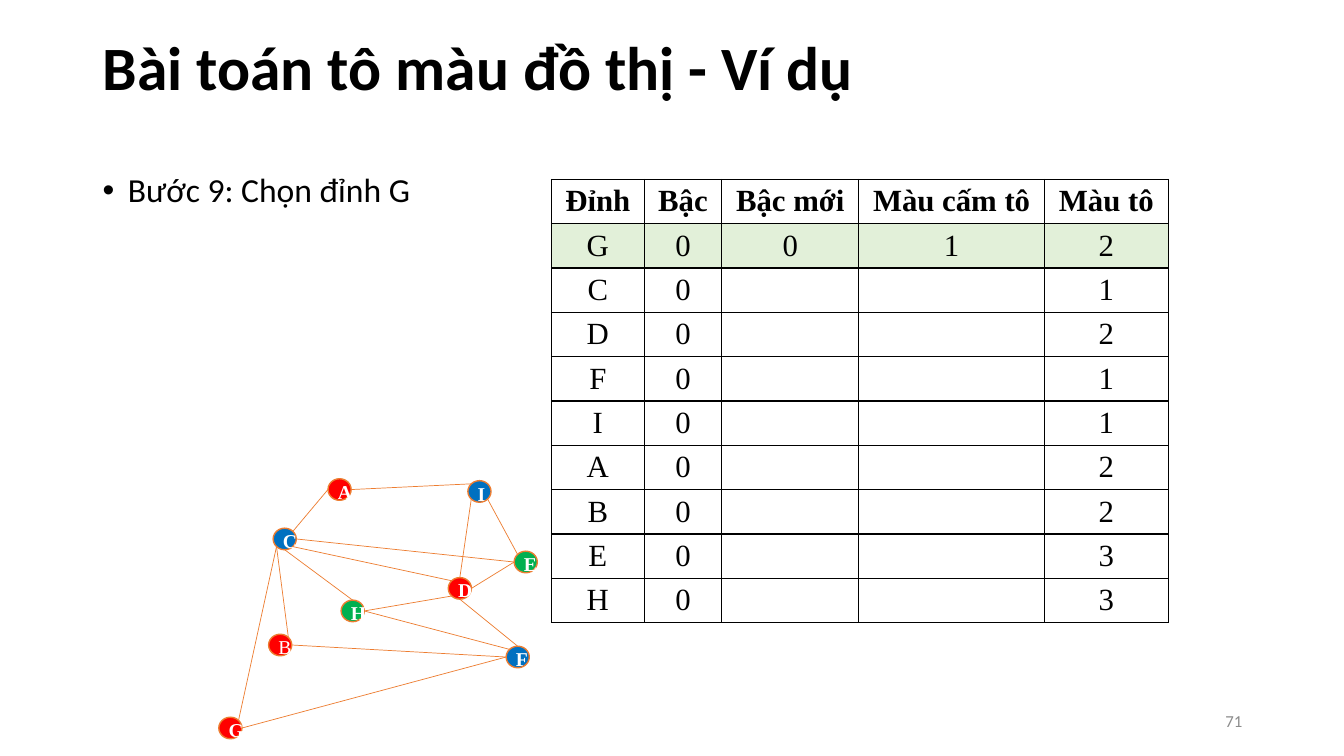
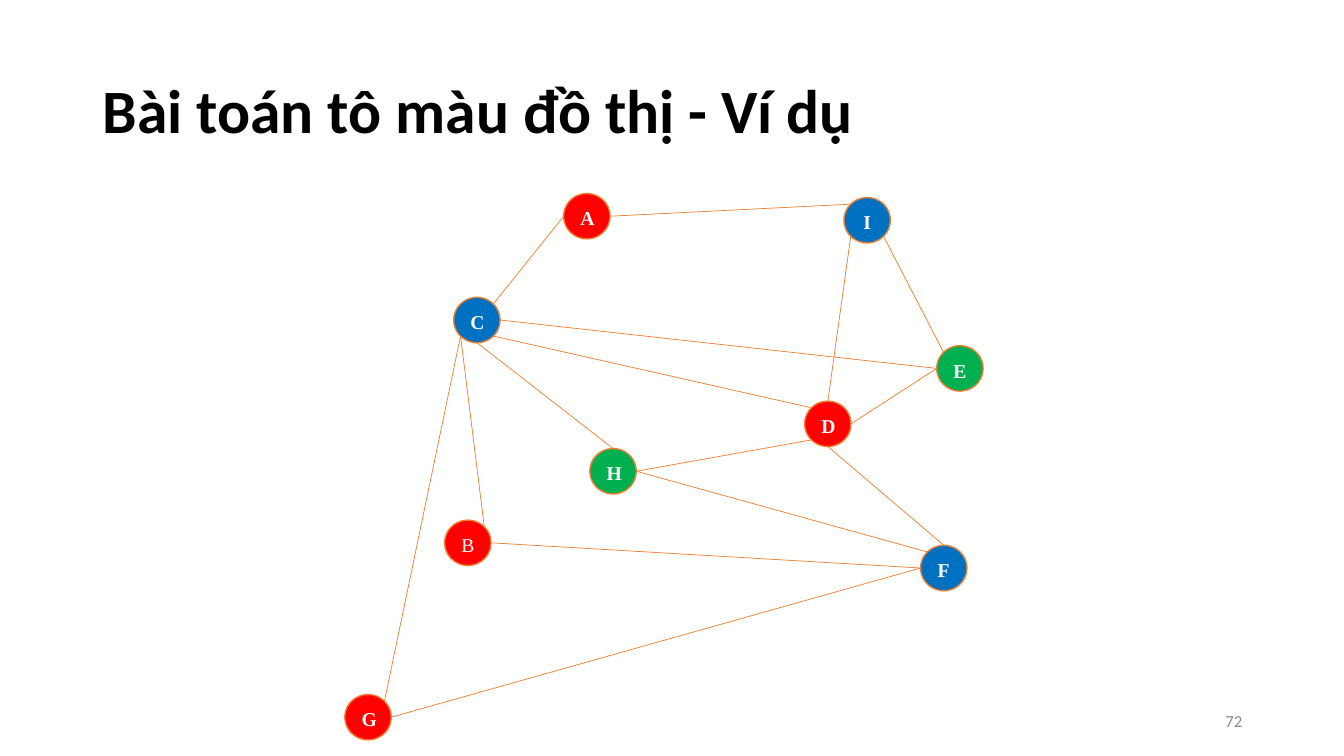
from dataclasses import dataclass
from math import cos, radians, sin

from lxml.etree import SubElement
from pptx import Presentation
from pptx.dml.color import RGBColor
from pptx.enum.shapes import MSO_CONNECTOR as Connector, MSO_SHAPE as Shape
from pptx.enum.text import MSO_ANCHOR as Anchor, PP_ALIGN as Align
from pptx.oxml.ns import qn
from pptx.util import Emu, Inches, Pt

SLIDE_WIDTH, SLIDE_HEIGHT = Inches(13.33), Inches(7.5)


@dataclass(frozen=True)
class Theme:
    ink: str = "000000"
    paper: str = "FFFFFF"
    muted: str = "8C8C8C"
    highlight: str = "E2F0D9"
    outline: str = "ED7D31"
    red: str = "FF0000"
    blue: str = "0070C0"
    green: str = "00B050"
    sans: str = "Calibri"
    serif: str = "Times New Roman"
    title_size: int = 44
    body_size: int = 24
    table_size: int = 22
    node_size: int = 14
    number_size: int = 12
    border: float = 1
    edge: float = 0.5


THEME = Theme()


@dataclass(frozen=True)
class Box:
    """A region given in percent of the slide's width and height."""
    x: float
    y: float
    w: float
    h: float

    def place(self):
        return (Emu(int(SLIDE_WIDTH * self.x / 100)), Emu(int(SLIDE_HEIGHT * self.y / 100)),
                Emu(int(SLIDE_WIDTH * self.w / 100)), Emu(int(SLIDE_HEIGHT * self.h / 100)))


NUMBER_BOX = Box(70.67, 92.67, 22.5, 5.33)
BODY_BOX = Box(6.9, 22.27, 28.73, 67.87)
TABLE_BOX = Box(41.03, 23.73, 45.9, 58.67)
SMALL_GRAPH_BOX = Box(16.28, 63.33, 23.7, 34.4)
LARGE_GRAPH_BOX = Box(25.66, 25.6, 47.49, 72.27)

TITLE = "Bài toán tô màu đồ thị - Ví dụ"

TABLE_COLUMNS = (0.92, 0.77, 1.36, 1.84, 1.23)
TABLE_ROWS = [
    ("Đỉnh", "Bậc", "Bậc mới", "Màu cấm tô", "Màu tô"),
    ("G", "0", "0", "1", "2"),
    *((vertex, "0", "", "", colour) for vertex, colour in zip("CDFIABEH", "12112233")),
]

# The graph is laid out on a grid of this many columns and rows.
GRAPH_GRID = (6.33, 5.42)
NODE_SPAN = (0.46, 0.45)
NODES = {
    "C": (1.08, 1.03, THEME.blue),
    "B": (0.99, 3.24, THEME.red),
    "A": (2.17, 0, THEME.red),
    "D": (4.56, 2.06, THEME.red),
    "E": (5.87, 1.51, THEME.green),
    "F": (5.71, 3.49, THEME.blue),
    "G": (0, 4.97, THEME.red),
    "H": (2.43, 2.53, THEME.green),
    "I": (4.95, 0.04, THEME.blue),
}
# An ellipse numbers its connection sites anticlockwise from the top.
SITES = ("n", "nw", "w", "sw", "s", "se", "e", "ne")
EDGES = [edge.split() for edge in (
    "H e F nw", "B e F w", "D s F n", "F w G e", "D sw H e",
    "C sw B ne", "C ne A w", "C se D nw", "C e E w", "C sw G ne",
    "C s H n", "A e I nw", "E nw I se", "E w D e", "I sw D n",
)]


def rgb(colour):
    return RGBColor.from_string(colour)


def add_run(paragraph, text, size, font, colour, bold=False):
    run = paragraph.add_run()
    run.text = text
    run.font.size, run.font.name, run.font.bold = Pt(size), font, bold
    run.font.color.rgb = rgb(colour)


def draw_line(line, width):
    line.color.rgb = rgb(THEME.outline)
    line.width = Pt(width)


def add_title(slide, top):
    title = slide.shapes.title
    title.left, title.top, title.width, title.height = Box(6.9, top, 86.27, 19.33).place()
    title.text_frame.vertical_anchor = Anchor.MIDDLE
    paragraph = title.text_frame.paragraphs[0]
    paragraph.alignment, paragraph.line_spacing = Align.LEFT, 0.9
    add_run(paragraph, TITLE, THEME.title_size, THEME.sans, THEME.ink, True)


def add_text_box(slide, box):
    """Add a wrapping text box and return its frame."""
    frame = slide.shapes.add_textbox(*box.place()).text_frame
    frame.word_wrap = True
    return frame


def add_number(slide, number):
    frame = add_text_box(slide, NUMBER_BOX)
    frame.vertical_anchor = Anchor.MIDDLE
    paragraph = frame.paragraphs[0]
    paragraph.alignment = Align.RIGHT
    add_run(paragraph, str(number), THEME.number_size, THEME.sans, THEME.muted)


def add_bullet(slide, box, text):
    paragraph = add_text_box(slide, box).paragraphs[0]
    paragraph.line_spacing = 0.9
    add_run(paragraph, text, THEME.body_size, THEME.sans, THEME.ink)
    properties = paragraph._p.get_or_add_pPr()
    properties.set("marL", str(Inches(0.25)))
    properties.set("indent", str(-Inches(0.25)))
    SubElement(properties, qn("a:buFont"), typeface="Arial")
    SubElement(properties, qn("a:buChar"), char="•")


def set_borders(cell):
    properties = cell._tc.get_or_add_tcPr()
    for position, side in enumerate(("a:lnL", "a:lnR", "a:lnT", "a:lnB")):
        line = SubElement(properties, qn(side), w=str(Pt(THEME.border)))
        fill = SubElement(line, qn("a:solidFill"))
        SubElement(fill, qn("a:srgbClr"), val=THEME.ink)
        properties.insert(position, line)


def add_steps_table(slide, box):
    left, top, width, height = box.place()
    table = slide.shapes.add_table(len(TABLE_ROWS), len(TABLE_COLUMNS),
                                   left, top, width, height).table
    table.first_row = table.horz_banding = False
    for column, share in zip(table.columns, TABLE_COLUMNS):
        column.width = Emu(int(width * share / sum(TABLE_COLUMNS)))
    for row_index, texts in enumerate(TABLE_ROWS):
        table.rows[row_index].height = Emu(height // len(TABLE_ROWS))
        for column_index, text in enumerate(texts):
            cell = table.cell(row_index, column_index)
            cell.margin_left = cell.margin_right = Inches(0.07)
            cell.margin_top = cell.margin_bottom = 0
            cell.vertical_anchor = Anchor.MIDDLE
            cell.fill.solid()
            cell.fill.fore_color.rgb = rgb(THEME.highlight if row_index == 1 else THEME.paper)
            set_borders(cell)
            paragraph = cell.text_frame.paragraphs[0]
            paragraph.alignment = Align.CENTER
            if text:
                add_run(paragraph, text, THEME.table_size, THEME.serif,
                        THEME.ink, row_index == 0)


def add_node(shapes, name, colour, place):
    node = shapes.add_shape(Shape.OVAL, *place)
    node.shadow.inherit = False
    node.fill.solid()
    node.fill.fore_color.rgb = rgb(colour)
    draw_line(node.line, THEME.border)
    node.text_frame.vertical_anchor = Anchor.MIDDLE
    paragraph = node.text_frame.paragraphs[0]
    paragraph.alignment, paragraph.line_spacing = Align.CENTER, 1.15
    paragraph.space_after = Pt(10)
    add_run(paragraph, name, THEME.node_size, THEME.serif, THEME.paper, name != "B")
    return node


def site_point(node, site):
    angle = radians(90 + 45 * SITES.index(site))
    return (Emu(int(node.left + node.width * (1 + cos(angle)) / 2)),
            Emu(int(node.top + node.height * (1 - sin(angle)) / 2)))


def add_edge(shapes, start, start_site, end, end_site):
    """Join two nodes and glue the line to their connection sites."""
    edge = shapes.add_connector(Connector.STRAIGHT, *site_point(start, start_site),
                                *site_point(end, end_site))
    draw_line(edge.line, THEME.edge)
    SubElement(edge._element.spPr, qn("a:effectLst"))
    glue = edge._element.find(".//" + qn("p:cNvCxnSpPr"))
    for tag, node, site in (("a:stCxn", start, start_site), ("a:endCxn", end, end_site)):
        SubElement(glue, qn(tag), id=str(node.shape_id), idx=str(SITES.index(site)))


def add_graph(slide, box):
    left, top, width, height = box.place()
    column, row = width / GRAPH_GRID[0], height / GRAPH_GRID[1]
    shapes = slide.shapes.add_group_shape().shapes
    nodes = {}
    for name, (x, y, colour) in NODES.items():
        place = (left + x * column, top + y * row, NODE_SPAN[0] * column, NODE_SPAN[1] * row)
        nodes[name] = add_node(shapes, name, colour, [Emu(int(length)) for length in place])
    for start, start_site, end, end_site in EDGES:
        add_edge(shapes, nodes[start], start_site, nodes[end], end_site)


def add_base_slide(presentation, title_top, number):
    slide = presentation.slides.add_slide(presentation.slide_layouts.get_by_name("Title Only"))
    add_title(slide, title_top)
    add_number(slide, number)
    return slide


def add_step_slide(presentation):
    slide = add_base_slide(presentation, -0.27, 71)
    add_bullet(slide, BODY_BOX, "Bước 9: Chọn đỉnh G")
    add_steps_table(slide, TABLE_BOX)
    add_graph(slide, SMALL_GRAPH_BOX)


def add_result_slide(presentation):
    slide = add_base_slide(presentation, 5.33, 72)
    add_graph(slide, LARGE_GRAPH_BOX)


def main():
    presentation = Presentation()
    presentation.slide_width, presentation.slide_height = SLIDE_WIDTH, SLIDE_HEIGHT
    add_step_slide(presentation)
    add_result_slide(presentation)
    presentation.save("out.pptx")


if __name__ == "__main__":
    main()
